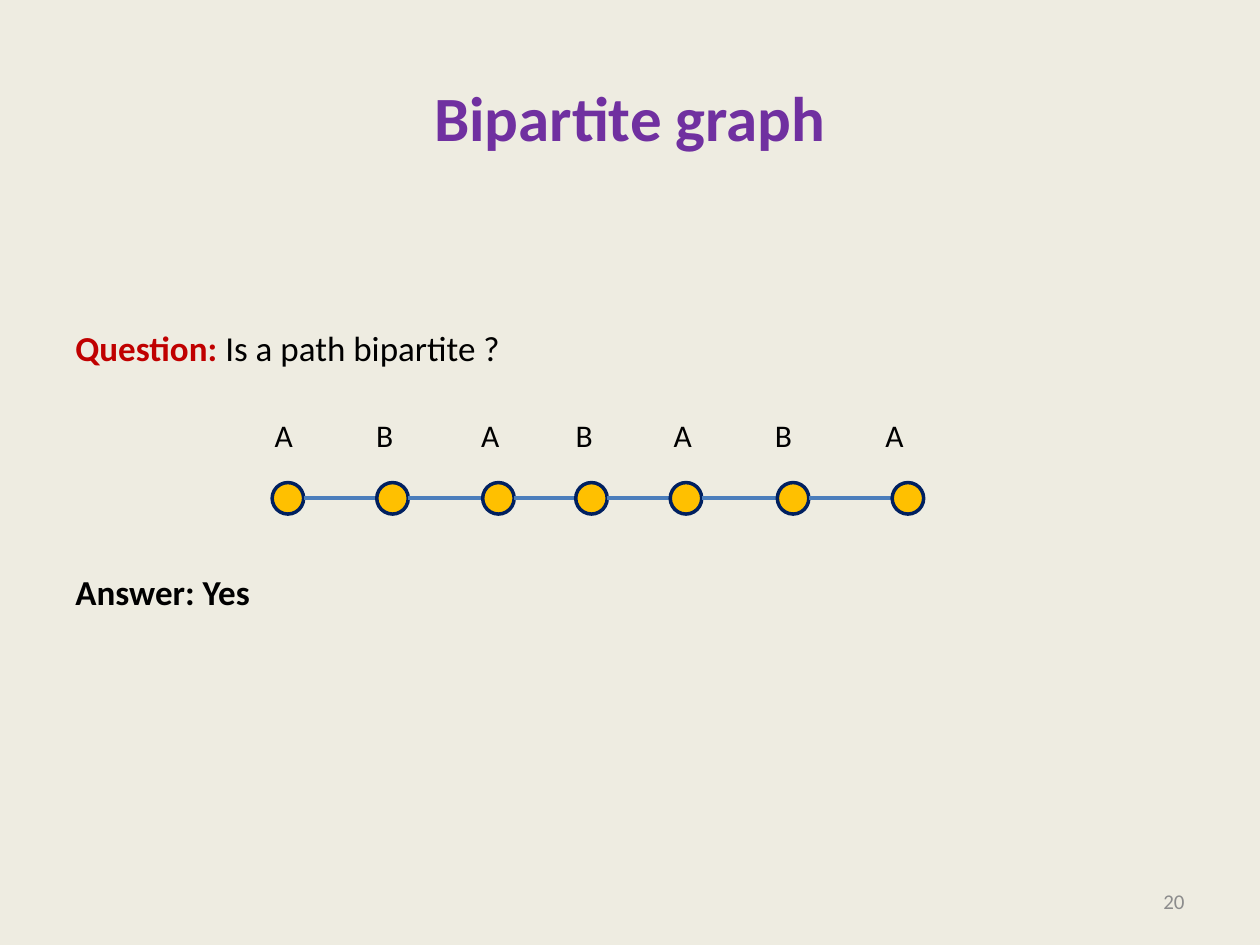
from lxml import etree
from pptx import Presentation
from pptx.dml.color import RGBColor
from pptx.enum.shapes import MSO_CONNECTOR as Connector, MSO_SHAPE as Shape
from pptx.enum.text import MSO_ANCHOR as Anchor, PP_ALIGN as Align
from pptx.oxml.ns import qn
from pptx.util import Pt

BACKGROUND = RGBColor(0xEE, 0xEC, 0xE1)
PURPLE = RGBColor(0x70, 0x30, 0xA0)
RED = RGBColor(0xC0, 0x00, 0x00)
BLACK = RGBColor(0x00, 0x00, 0x00)
GRAY = RGBColor(0x8C, 0x8C, 0x8C)
GOLD = RGBColor(0xFF, 0xC0, 0x00)
NAVY = RGBColor(0x00, 0x20, 0x60)
BLUE = RGBColor(0x4B, 0x7E, 0xBC)


def add_text(paragraph, text, size=20, color=BLACK, bold=False, align=Align.LEFT):
    paragraph.alignment = align
    run = paragraph.add_run()
    run.text = text
    run.font.name = "Calibri"
    run.font.size = Pt(size)
    run.font.bold = bold
    run.font.color.rgb = color


def add_box(left, top, width, height, anchor=Anchor.TOP):
    frame = slide.shapes.add_textbox(Pt(left), Pt(top), Pt(width), Pt(height)).text_frame
    frame.word_wrap = True
    frame.vertical_anchor = anchor
    return frame


presentation = Presentation()
presentation.slide_width = Pt(720)
presentation.slide_height = Pt(540)
slide = presentation.slides.add_slide(presentation.slide_layouts[5])
slide.background.fill.solid()
slide.background.fill.fore_color.rgb = BACKGROUND

title = slide.shapes.title
title.left, title.top, title.width, title.height = Pt(36), Pt(21.6), Pt(648), Pt(90)
title.text_frame.vertical_anchor = Anchor.MIDDLE
add_text(title.text_frame.paragraphs[0], "Bipartite graph", size=36, color=PURPLE,
         bold=True, align=Align.CENTER)

body = add_box(36, 182.8, 648, 180)
question = body.paragraphs[0]
add_text(question, "Question: ", color=RED, bold=True)
add_text(question, "Is a path bipartite ?")
answer = body.add_paragraph()
answer.space_before = Pt(115.6)
add_text(answer, "Answer: Yes", bold=True)

number = add_box(516, 500.5, 168, 28.8, anchor=Anchor.MIDDLE)
add_text(number.paragraphs[0], "20", size=12, color=GRAY, align=Align.RIGHT)

NODE_LEFTS = [155.5, 215.3, 275.8, 329, 383, 444.2, 509.8]
NODE_TOP, NODE_SIZE, EDGE_LENGTH = 275.75, 18, 54.7
edge_y = NODE_TOP + NODE_SIZE / 2
for index, left in enumerate(NODE_LEFTS):
    node = slide.shapes.add_shape(Shape.OVAL, Pt(left), Pt(NODE_TOP), Pt(NODE_SIZE), Pt(NODE_SIZE))
    node.shadow.inherit = False
    node.fill.solid()
    node.fill.fore_color.rgb = GOLD
    node.line.color.rgb = NAVY
    node.line.width = Pt(2)
    if index < len(NODE_LEFTS) - 1:
        start = left + NODE_SIZE
        edge = slide.shapes.add_connector(Connector.STRAIGHT, Pt(start), Pt(edge_y),
                                          Pt(start + EDGE_LENGTH), Pt(edge_y))
        edge.line.color.rgb = BLUE
        edge.line.width = Pt(2.25)
        etree.SubElement(edge.element.spPr, qn("a:effectLst"))

labels = add_box(149.8, 234, 390, 29).paragraphs[0]
tab_list = etree.SubElement(labels._p.get_or_add_pPr(), qn("a:tabLst"))
for position in [58, 118, 172, 228, 286, 349]:
    etree.SubElement(tab_list, qn("a:tab"), pos=str(Pt(position)), algn="l")
add_text(labels, "\t".join("ABABABA"), size=18)

presentation.save("out.pptx")
